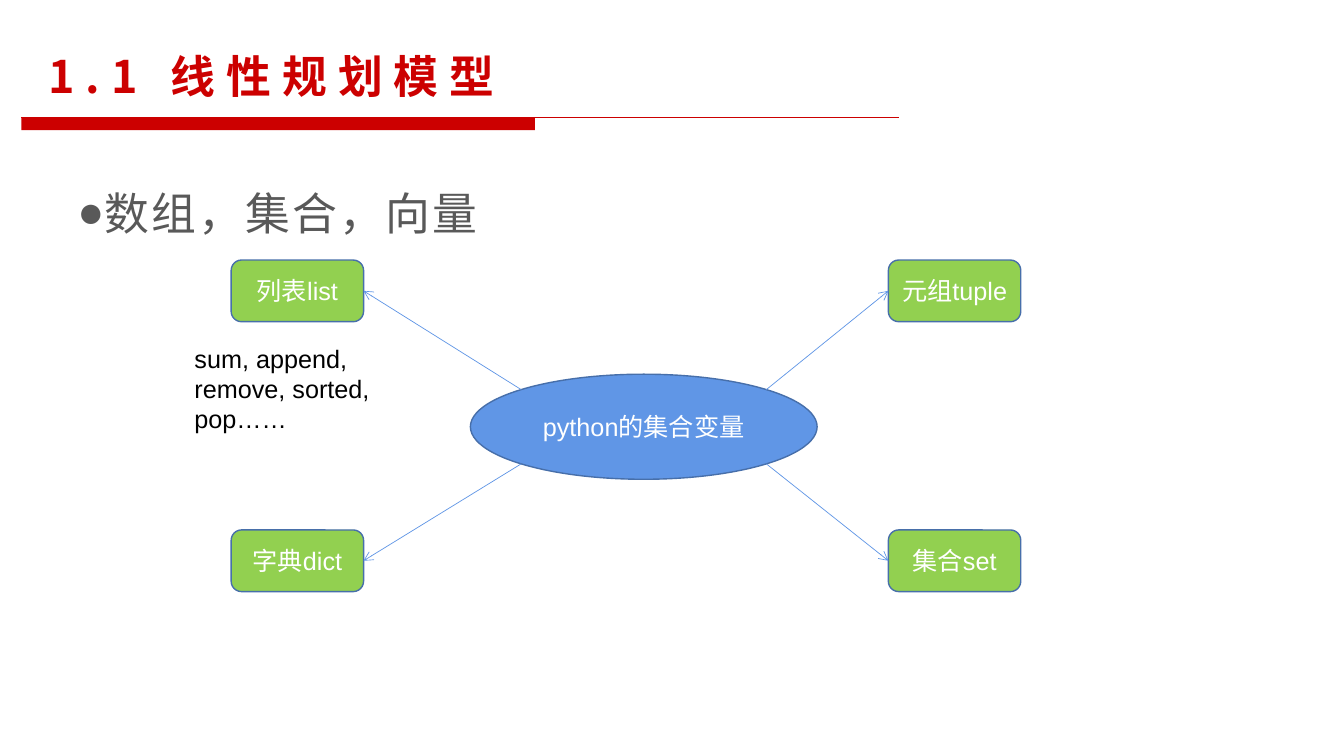
from math import sqrt
from lxml.etree import SubElement
from pptx import Presentation
from pptx.dml.color import RGBColor
from pptx.enum.shapes import MSO_CONNECTOR, MSO_SHAPE
from pptx.enum.text import MSO_ANCHOR, MSO_AUTO_SIZE, PP_ALIGN
from pptx.oxml.ns import qn
from pptx.util import Inches, Pt

theme = {
    "red": RGBColor.from_string("CC0000"),
    "gray": RGBColor.from_string("595959"),
    "black": RGBColor.from_string("000000"),
    "white": RGBColor.from_string("FFFFFF"),
    "blue": RGBColor.from_string("6096E6"),
    "edge": RGBColor.from_string("476FAA"),
    "green": RGBColor.from_string("92D050"),
    "head": 32, "text": 18,
    "latin": "Arial", "cjk": "Noto Sans CJK SC",
}

deck = Presentation()
deck.slide_width, deck.slide_height = Inches(13.33), Inches(7.5)
slide = deck.slides.add_slide(deck.slide_layouts[1])
shapes = slide.shapes


def place(*shares):
    """Turn x, y pairs in percent of the slide into lengths."""
    sides = (deck.slide_width, deck.slide_height)
    return [int(sides[i % 2] * share / 100) for i, share in enumerate(shares)]


def write(shape, *lines, size="text", color="white", font="latin", bold=False,
          align=PP_ALIGN.LEFT, anchor=MSO_ANCHOR.TOP, gap=0,
          inset=(0.1, 0.05, 0.1, 0.05), before=0, after=0, lead=1.0):
    frame = shape.text_frame
    frame.text = "\n".join(lines)
    frame.word_wrap = True
    frame.auto_size = MSO_AUTO_SIZE.NONE
    frame.vertical_anchor = anchor
    (frame.margin_left, frame.margin_top,
     frame.margin_right, frame.margin_bottom) = map(Inches, inset)
    for para in frame.paragraphs:
        para.alignment = align
        para.line_spacing = lead
        para.space_before, para.space_after = Pt(before), Pt(after)
        run = para.runs[0]
        run.font.size, run.font.bold = Pt(theme[size]), bold
        run.font.color.rgb = theme[color]
        run.font.name = theme[font]
        props = run.font._element
        SubElement(props, qn("a:ea")).set("typeface", theme["cjk"])
        if gap:
            props.set("spc", str(int(gap * 100)))


# Body list
body = slide.placeholders[1]
body.left, body.top, body.width, body.height = place(5, 21.7, 90, 69.3)
write(body, "数组，集合，向量", size="head", color="gray", font="cjk",
      gap=1.5, after=10, lead=1.3)
props = body.text_frame.paragraphs[0]._p.get_or_add_pPr()
props.set("marL", str(Inches(0.25)))
props.set("indent", str(-Inches(0.25)))
SubElement(props, qn("a:buFont")).set("typeface", theme["latin"])
SubElement(props, qn("a:buChar")).set("char", "●")

# Title with its red bar and thin rule
title = shapes.title
title.left, title.top, title.width, title.height = place(3.6, 6.27, 37.05, 7.33)
write(title, "1.1 线性规划模型", size="head", color="red", font="cjk",
      bold=True, gap=7.9, inset=(0, 0.01, 0, 0), before=1.1)

bar = shapes.add_shape(MSO_SHAPE.RECTANGLE, *place(1.6, 15.6, 38.2, 1.6))
bar.shadow.inherit = False
bar.fill.solid()
bar.fill.fore_color.rgb = theme["red"]
bar.line.fill.background()

rule = shapes.add_connector(MSO_CONNECTOR.STRAIGHT, *place(1.6, 15.6, 66.9, 15.6))
rule.line.color.rgb, rule.line.width = theme["red"], Pt(0.72)
SubElement(rule._element.spPr, qn("a:effectLst"))

# Hub and its four nodes
hub_x, hub_y, hub_w, hub_h = 35, 49.5, 25.8, 13.9
node_w, node_h = 9.85, 8.15
left, right, top, low = 17.2, 66.1, 34.4, 70.1
nodes = [("元组tuple", right, top), ("集合set", right, low),
         ("列表list", left, top), ("字典dict", left, low)]

cards = [("python的集合变量", MSO_SHAPE.FLOWCHART_CONNECTOR, "blue",
          (hub_x, hub_y, hub_w, hub_h))]
cards += [(name, MSO_SHAPE.FLOWCHART_ALTERNATE_PROCESS, "green",
           (x, y, node_w, node_h)) for name, x, y in nodes]
for name, kind, fill, area in cards:
    card = shapes.add_shape(kind, *place(*area))
    card.shadow.inherit = False
    card.fill.solid()
    card.fill.fore_color.rgb = theme[fill]
    card.line.color.rgb, card.line.width = theme["edge"], Pt(1)
    write(card, name, align=PP_ALIGN.CENTER, anchor=MSO_ANCHOR.MIDDLE)

# Arrows from the hub's diagonals to the nodes' inner edges
for name, x, y in nodes:
    across = 1 if x == right else -1
    down = 1 if y == low else -1
    start = (hub_x + hub_w / 2 * (1 + across / sqrt(2)),
             hub_y + hub_h / 2 * (1 + down / sqrt(2)))
    end = (x if x == right else x + node_w, y + node_h / 2)
    arrow = shapes.add_connector(MSO_CONNECTOR.STRAIGHT, *place(*start, *end))
    arrow.line.color.rgb, arrow.line.width = theme["blue"], Pt(0.5)
    SubElement(arrow.line._get_or_add_ln(), qn("a:tailEnd")).set("type", "arrow")
    SubElement(arrow._element.spPr, qn("a:effectLst"))

# Methods of a list
note = shapes.add_textbox(*place(13.73, 44.7, 14.85, 13.5))
write(note, "sum, append,", "remove, sorted, pop……", color="black")

deck.save("out.pptx")
